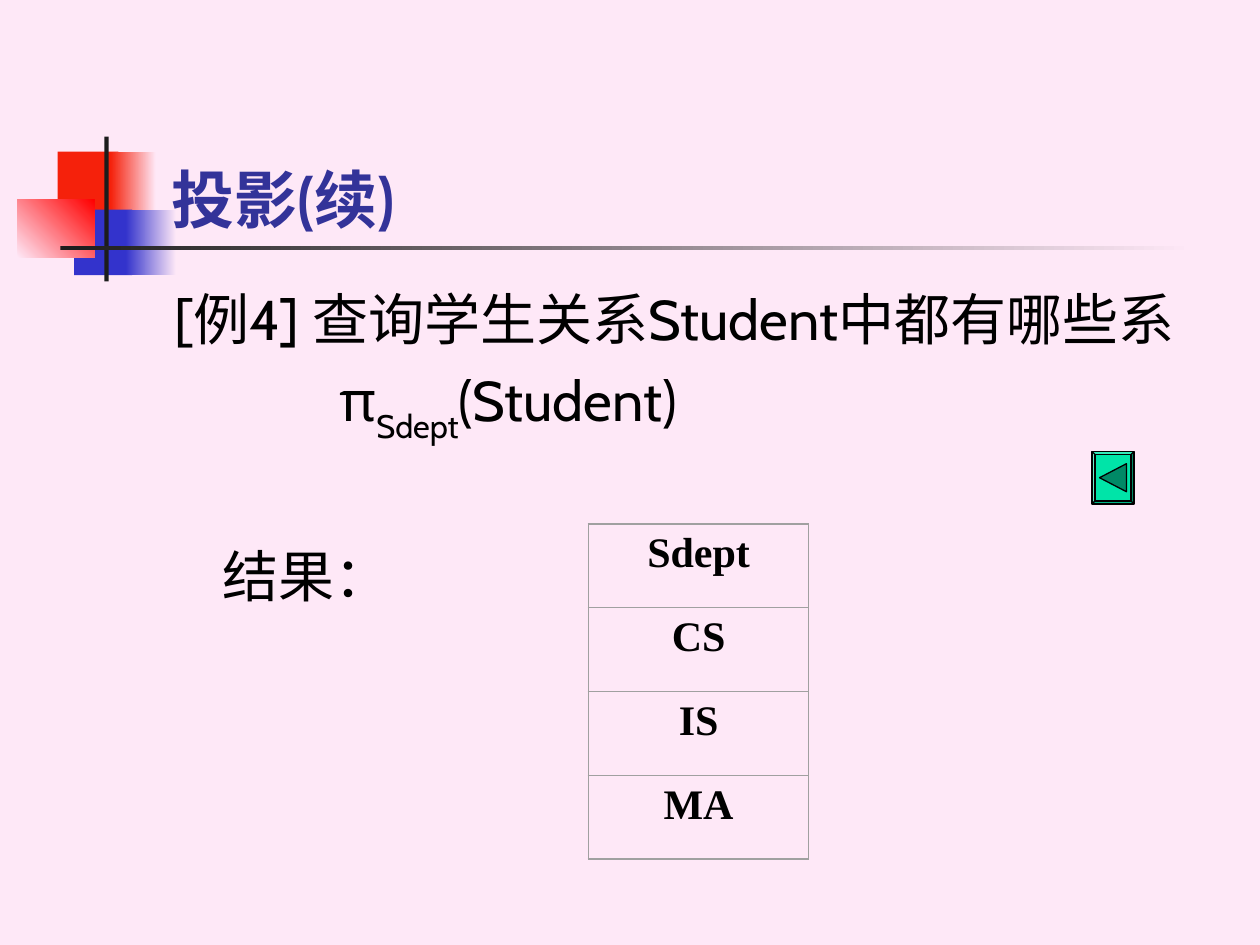
from lxml.etree import SubElement
from pptx import Presentation
from pptx.dml.color import RGBColor
from pptx.enum.shapes import MSO_SHAPE as Shape
from pptx.enum.text import MSO_ANCHOR as Anchor, PP_ALIGN as Align
from pptx.oxml.ns import qn
from pptx.util import Pt

BACKGROUND = "FEE8F7"
RED, BLUE, DARK = "F5210B", "3333CC", "1C1C1C"
BLACK, GRID = "000000", "A0A0A0"


def color(hex_string):
    return RGBColor.from_string(hex_string)


def paint(shape, fill, line=None, angle=0):
    """Fill with one colour, or with a gradient when given a pair."""
    shape.shadow.inherit = False
    if isinstance(fill, tuple):
        shape.fill.gradient()
        shape.fill.gradient_angle = angle
        for stop, hex_string in zip(shape.fill.gradient_stops, fill):
            stop.color.rgb = color(hex_string)
    else:
        shape.fill.solid()
        shape.fill.fore_color.rgb = color(fill)
    if line:
        shape.line.color.rgb = color(line)
        shape.line.width = Pt(0.75)
    else:
        shape.line.fill.background()


def write(paragraph, text, size=32, font="Cabin", ink=BLACK, bold=False,
          align=None, baseline=0):
    run = paragraph.add_run()
    run.text = text
    run.font.size = Pt(size)
    run.font.name = font
    run.font.bold = bold
    run.font.color.rgb = color(ink)
    if align is not None:
        paragraph.alignment = align
    if baseline:
        run._r.get_or_add_rPr().set("baseline", str(baseline * 1000))


def indent(paragraph, left, first=0):
    properties = paragraph._p.get_or_add_pPr()
    properties.set("marL", str(Pt(left)))
    properties.set("indent", str(Pt(first)))


def text_frame(slide, left, top, width, height, anchor=Anchor.TOP):
    box = slide.shapes.add_textbox(Pt(left), Pt(top), Pt(width), Pt(height))
    frame = box.text_frame
    frame.word_wrap = True
    frame.vertical_anchor = anchor
    return frame


def add_ornament(slide, left, top):
    # Offsets from the corner, size, fill, gradient angle
    parts = [
        (23, 8.6, 34.6, 37.4, RED, 0),
        (53.3, 8.6, 25.9, 37.4, (RED, BACKGROUND), 0),
        (32.4, 41.8, 33.1, 37.4, BLUE, 0),
        (61.9, 41.8, 28.8, 37.4, (BLUE, BACKGROUND), 0),
        (0, 36, 43.9, 33.1, (BACKGROUND, "FF0000"), 45),
        (49.7, 0, 2.4, 82.8, DARK, 0),
        (24.5, 62.4, 648, 2.4, (DARK, BACKGROUND), 0),
    ]
    for x, y, width, height, fill, angle in parts:
        block = slide.shapes.add_shape(
            Shape.RECTANGLE, Pt(left + x), Pt(top + y), Pt(width), Pt(height))
        paint(block, fill, angle=angle)


def add_title(slide, left, top, width, height):
    frame = text_frame(slide, left, top, width, height, Anchor.BOTTOM)
    write(frame.paragraphs[0], "投影(续)", size=36, ink="333399", bold=True)


def add_body(slide, left, top, width, height):
    frame = text_frame(slide, left, top, width, height)
    # Question
    question = frame.paragraphs[0]
    indent(question, 27, -27)
    write(question, "[例4] 查询学生关系Student中都有哪些系", align=Align.JUSTIFY)
    # Projection expression
    expression = frame.add_paragraph()
    indent(expression, 94)
    expression.space_before = Pt(8)
    write(expression, "π")
    write(expression, "Sdept", baseline=-30)
    write(expression, "(Student)")
    # Result label
    result = frame.add_paragraph()
    indent(result, 27)
    result.space_before = Pt(55)
    write(result, "结果：")


def set_borders(cell, widths):
    properties = cell._tc.get_or_add_tcPr()
    for position, (side, width) in enumerate(widths.items()):
        border = properties.makeelement(qn(f"a:{side}"), {"w": str(Pt(width))})
        fill = SubElement(border, qn("a:solidFill"))
        SubElement(fill, qn("a:srgbClr"), val=GRID)
        properties.insert(position, border)


def add_result_table(slide, left, top, width, height):
    values = ["Sdept", "CS", "IS", "MA"]
    table = slide.shapes.add_table(
        len(values), 1, Pt(left), Pt(top), Pt(width), Pt(height)).table
    table.first_row = table.horz_banding = False
    outer, inner = 0.88, 0.5
    last = len(values) - 1
    for index, value in enumerate(values):
        cell = table.cell(index, 0)
        cell.fill.background()
        cell.vertical_anchor = Anchor.TOP
        write(cell.text_frame.paragraphs[0], value, size=24,
              font="Times New Roman", bold=True, align=Align.CENTER)
        set_borders(cell, {
            "lnL": outer, "lnR": outer,
            "lnT": outer if index == 0 else inner,
            "lnB": outer if index == last else inner})


def add_back_button(slide, left, top, width, height):
    button = slide.shapes.add_shape(
        Shape.BEVEL, Pt(left), Pt(top), Pt(width), Pt(height))
    button.adjustments[0] = 0.07
    paint(button, "00E4A8", BLACK)
    # Arrow pointing left, centred on the button
    middle, half = top + height / 2, width / 3
    tip, base = left + width * 0.18, left + width * 0.82
    builder = slide.shapes.build_freeform(Pt(tip), Pt(middle))
    builder.add_line_segments(
        [(Pt(base), Pt(middle - half)), (Pt(base), Pt(middle + half))])
    paint(builder.convert_to_shape(), "008966", BLACK)


def main():
    presentation = Presentation()
    presentation.slide_width, presentation.slide_height = Pt(720), Pt(540)
    slide = presentation.slides.add_slide(presentation.slide_layouts[6])
    slide.background.fill.solid()
    slide.background.fill.fore_color.rgb = color(BACKGROUND)

    add_ornament(slide, 10, 78)
    add_title(slide, 90.7, 48.2, 613.4, 90)
    add_body(slide, 92.9, 159.1, 613, 324)
    add_result_table(slide, 336.2, 299.5, 126, 191.5)
    add_back_button(slide, 624, 258, 24, 30)
    presentation.save("out.pptx")


if __name__ == "__main__":
    main()
